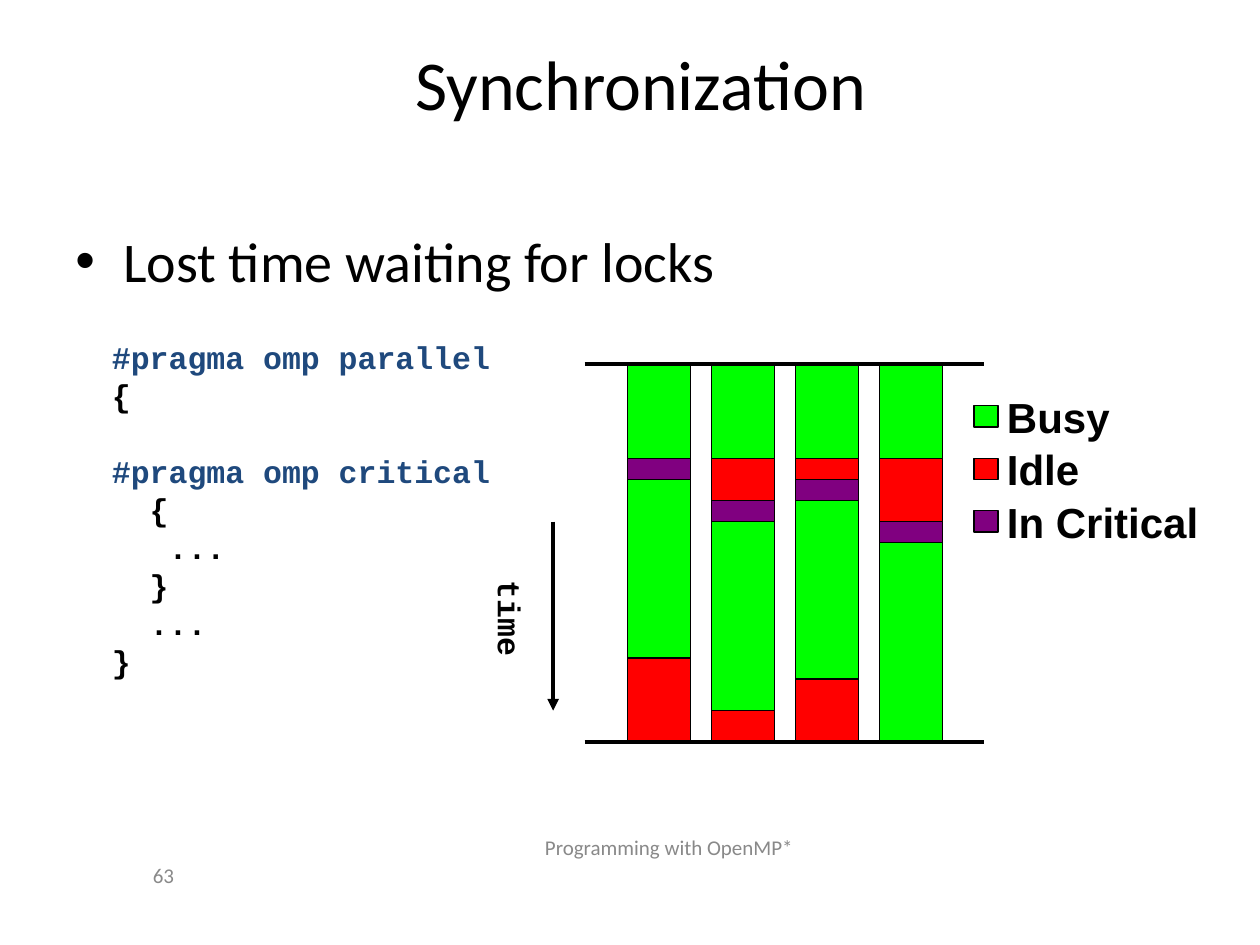
from dataclasses import dataclass

from lxml import etree
from pptx import Presentation
from pptx import util as u
from pptx.dml.color import RGBColor
from pptx.enum import shapes, text
from pptx.oxml.ns import qn

COLORS = {
    "busy": "00FF00", "idle": "FF0000", "critical": "800080",
    "black": "000000", "white": "FFFFFF", "gray": "898989", "code": "1F497D",
}
STEP = 1 / 6  # inches per unit of time
CHART_TOP, TOTAL_TIME, LOCK_TIME = 2.89, 18, 4.5
FIRST_LANE, LANE_PITCH, LANE_WIDTH = 4.98, 2 / 3, 0.5


@dataclass
class Lane:
    """One thread: how long it waits for the lock and when it finishes."""
    wait: float
    finish: float


@dataclass
class LegendEntry:
    label: str
    color: str


@dataclass
class CodeLine:
    words: str
    color: str = "black"
    space_before: float = 0


LANES = [Lane(0, 14), Lane(2, 16.5), Lane(1, 15), Lane(3, 18)]
LEGEND = [
    LegendEntry("Busy", "busy"),
    LegendEntry("Idle", "idle"),
    LegendEntry("In Critical", "critical"),
]
CODE_PITCH = 21.7
CODE = [
    CodeLine("#pragma omp parallel", "code"),
    CodeLine("{"),
    CodeLine("#pragma omp critical", "code", CODE_PITCH),
    CodeLine("  {"),
    CodeLine("   ..."),
    CodeLine("  }"),
    CodeLine("  ..."),
    CodeLine("}"),
]


def rgb(name: str) -> RGBColor:
    return RGBColor.from_string(COLORS[name])


def write(paragraph, words: str, *, size: float, font: str = "Calibri", color: str = "black",
          bold: bool = False, align=text.PP_ALIGN.LEFT) -> None:
    paragraph.alignment = align
    run = paragraph.add_run()
    run.text = words
    run.font.size = u.Pt(size)
    run.font.name = font
    run.font.bold = bold
    run.font.color.rgb = rgb(color)


def set_indent(paragraph, left: float, first: float = 0, bullet: str = "") -> None:
    properties = paragraph._p.get_or_add_pPr()
    properties.set("marL", str(u.Inches(left)))
    properties.set("indent", str(u.Inches(first)))
    if bullet:
        etree.SubElement(properties, qn("a:buFont")).set("typeface", "Arial")
        etree.SubElement(properties, qn("a:buChar")).set("char", bullet)


def add_text_box(slide, left: float, top: float, width: float, height: float, *,
                 wrap: bool = True, anchor=text.MSO_ANCHOR.TOP):
    box = slide.shapes.add_textbox(u.Inches(left), u.Inches(top), u.Inches(width), u.Inches(height))
    box.text_frame.word_wrap = wrap
    box.text_frame.vertical_anchor = anchor
    return box


def add_block(slide, left: float, top: float, width: float, height: float, fill: str,
              outlined: bool = True):
    block = slide.shapes.add_shape(shapes.MSO_SHAPE.RECTANGLE, u.Inches(left), u.Inches(top),
                                   u.Inches(width), u.Inches(height))
    block.shadow.inherit = False
    block.fill.solid()
    block.fill.fore_color.rgb = rgb(fill)
    if outlined:
        block.line.color.rgb = rgb("black")
        block.line.width = u.Pt(0.75)
    else:
        block.line.fill.background()
    return block


def add_line(slide, x1: float, y1: float, x2: float, y2: float, arrow: bool = False) -> None:
    line = slide.shapes.add_connector(shapes.MSO_CONNECTOR.STRAIGHT, u.Inches(x1), u.Inches(y1),
                                      u.Inches(x2), u.Inches(y2))
    line.line.color.rgb = rgb("black")
    line.line.width = u.Pt(2.25)
    if arrow:
        etree.SubElement(line.line._get_or_add_ln(), qn("a:tailEnd")).set("type", "triangle")
    etree.SubElement(line._element.spPr, qn("a:effectLst"))


def add_code(slide) -> None:
    frame = add_block(slide, 0.79, 2.63, 3.2, 2.8, "white", outlined=False).text_frame
    frame.word_wrap = False
    frame.vertical_anchor = text.MSO_ANCHOR.TOP
    for index, line in enumerate(CODE):
        paragraph = frame.add_paragraph() if index else frame.paragraphs[0]
        paragraph.line_spacing = u.Pt(CODE_PITCH)
        if line.space_before:
            paragraph.space_before = u.Pt(line.space_before)
        write(paragraph, line.words, size=18, font="Courier New", color=line.color, bold=True)


def add_lane(slide, left: float, lane: Lane) -> None:
    """Draw the busy bar, then lay the waiting and locked periods over it."""
    periods = [
        (0, lane.finish, "busy"),
        (LOCK_TIME, lane.wait, "idle"),
        (LOCK_TIME + lane.wait, 1, "critical"),
        (lane.finish, TOTAL_TIME - lane.finish, "idle"),
    ]
    for start, length, state in periods:
        if length:
            add_block(slide, left, CHART_TOP + start * STEP, LANE_WIDTH, length * STEP, state)


def add_legend_entry(slide, top: float, entry: LegendEntry) -> None:
    frame = add_block(slide, 7.73, top, 0.19, 0.17, entry.color).text_frame
    frame.word_wrap = False
    frame.vertical_anchor = text.MSO_ANCHOR.MIDDLE
    set_indent(frame.paragraphs[0], 0.17)
    write(frame.paragraphs[0], entry.label, size=24, font="Arial", bold=True)


def main() -> None:
    presentation = Presentation()
    presentation.slide_width, presentation.slide_height = u.Inches(10), u.Inches(7.5)
    slide = presentation.slides.add_slide(presentation.slide_layouts[6])
    middle = text.MSO_ANCHOR.MIDDLE

    number = add_text_box(slide, 1.03, 6.78, 0.45, 0.33, anchor=middle)
    write(number.text_frame.paragraphs[0], "63", size=12, color="gray", align=text.PP_ALIGN.RIGHT)
    footer = add_text_box(slide, 3.31, 6.56, 4, 0.33, anchor=middle)
    write(footer.text_frame.paragraphs[0], "Programming with OpenMP*", size=12, color="gray",
          align=text.PP_ALIGN.CENTER)

    add_code(slide)

    title = add_text_box(slide, 0.58, 0.44, 9.01, 0.43, anchor=middle)
    write(title.text_frame.paragraphs[0], "Synchronization", size=40, align=text.PP_ALIGN.CENTER)
    body = add_text_box(slide, 0.5, 1.75, 9, 4.95)
    set_indent(body.text_frame.paragraphs[0], 0.38, -0.38, "•")
    write(body.text_frame.paragraphs[0], "Lost time waiting for locks", size=32)

    for index, lane in enumerate(LANES):
        add_lane(slide, FIRST_LANE + index * LANE_PITCH, lane)
    for y in (CHART_TOP, CHART_TOP + TOTAL_TIME * STEP):
        add_line(slide, 4.64, y, 7.81, y)

    add_line(slide, 4.39, 4.14, 4.39, 5.64, arrow=True)
    time_label = add_text_box(slide, 3.65, 4.71, 0.8, 0.4, wrap=False)
    time_label.rotation = 90
    write(time_label.text_frame.paragraphs[0], "time", size=18, font="Courier New", bold=True)

    for index, entry in enumerate(LEGEND):
        add_legend_entry(slide, 3.22 + index * 2.5 * STEP, entry)

    presentation.save("out.pptx")


if __name__ == "__main__":
    main()
